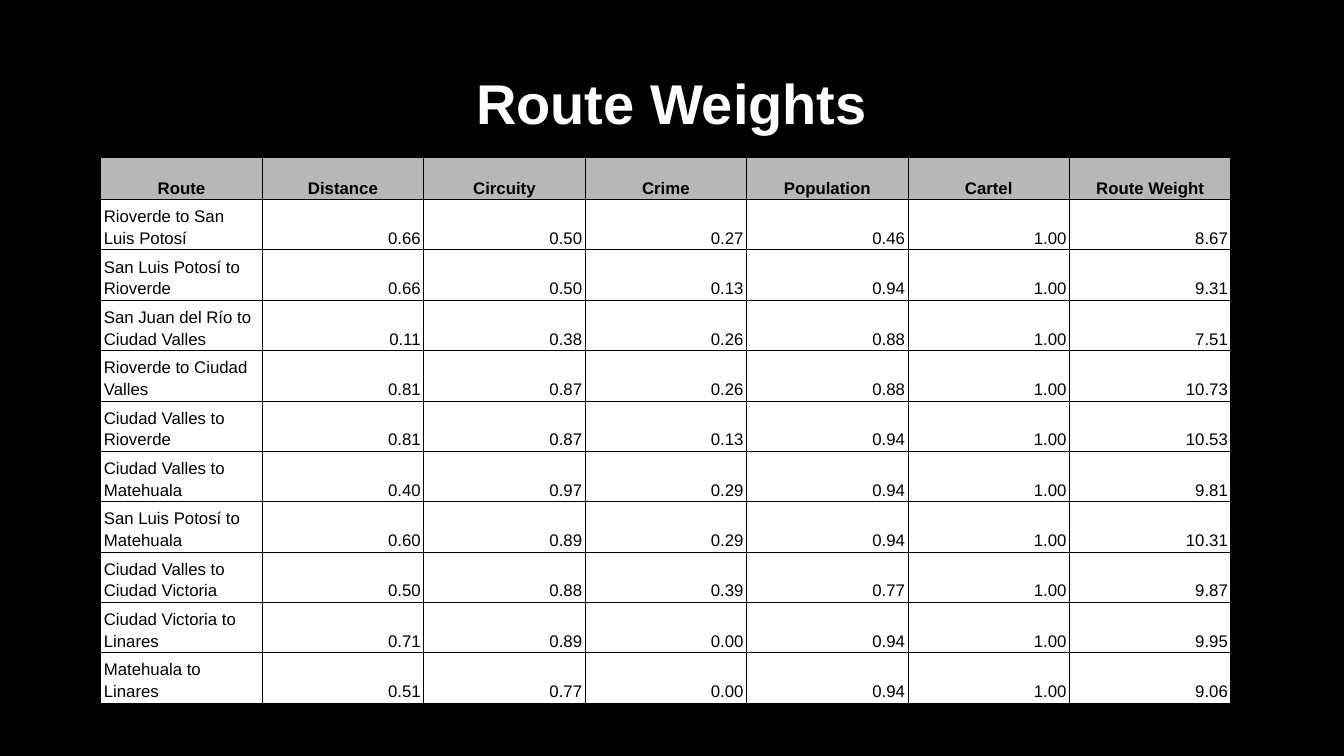
from lxml import etree
from pptx import Presentation
from pptx import util as u
from pptx.dml.color import RGBColor
from pptx.enum import text
from pptx.oxml.ns import qn

BLACK, WHITE, GREY = "000000", "FFFFFF", "B7B7B7"
HEADINGS = ["Route", "Distance", "Circuity", "Crime", "Population", "Cartel", "Route Weight"]
ROUTES = [
    ["Rioverde to San Luis Potosí", 0.66, 0.50, 0.27, 0.46, 1.00, 8.67],
    ["San Luis Potosí to Rioverde", 0.66, 0.50, 0.13, 0.94, 1.00, 9.31],
    ["San Juan del Río to Ciudad Valles", 0.11, 0.38, 0.26, 0.88, 1.00, 7.51],
    ["Rioverde to Ciudad Valles", 0.81, 0.87, 0.26, 0.88, 1.00, 10.73],
    ["Ciudad Valles to Rioverde", 0.81, 0.87, 0.13, 0.94, 1.00, 10.53],
    ["Ciudad Valles to Matehuala", 0.40, 0.97, 0.29, 0.94, 1.00, 9.81],
    ["San Luis Potosí to Matehuala", 0.60, 0.89, 0.29, 0.94, 1.00, 10.31],
    ["Ciudad Valles to Ciudad Victoria", 0.50, 0.88, 0.39, 0.77, 1.00, 9.87],
    ["Ciudad Victoria to Linares", 0.71, 0.89, 0.00, 0.94, 1.00, 9.95],
    ["Matehuala to Linares", 0.51, 0.77, 0.00, 0.94, 1.00, 9.06],
]
ROW_HEIGHT = 0.42
CELL_FORMAT = {
    "vertical_anchor": text.MSO_ANCHOR.BOTTOM,
    "margin_left": u.Inches(0.03),
    "margin_right": u.Inches(0.03),
    "margin_top": u.Inches(0.02),
    "margin_bottom": u.Inches(0.02),
}


def paint(fill, color):
    fill.solid()
    fill.fore_color.rgb = RGBColor.from_string(color)


def write(para, words, size, color, bold, align, spacing):
    para.alignment = align
    para.line_spacing = spacing
    span = para.add_run()
    span.text = words
    for name, value in {"name": "Arial", "size": u.Pt(size), "bold": bold}.items():
        setattr(span.font, name, value)
    span.font.color.rgb = RGBColor.from_string(color)


def add_borders(cell, color, points):
    properties = cell._tc.get_or_add_tcPr()
    for side in ("a:lnL", "a:lnR", "a:lnT", "a:lnB"):
        line = etree.SubElement(properties, qn(side), w=str(u.Pt(points)))
        fill = etree.SubElement(line, qn("a:solidFill"))
        etree.SubElement(fill, qn("a:srgbClr"), val=color)


def add_title(page, box, words):
    frame = page.shapes.add_textbox(*map(u.Inches, box)).text_frame
    frame.word_wrap = True
    frame.vertical_anchor = text.MSO_ANCHOR.MIDDLE
    write(frame.paragraphs[0], words, 40, WHITE, True, text.PP_ALIGN.CENTER, 0.9)


def fill_cell(cell, value, heading):
    for name, setting in CELL_FORMAT.items():
        setattr(cell, name, setting)
    add_borders(cell, BLACK, 0.75)
    paint(cell.fill, GREY if heading else WHITE)
    if heading:
        align = text.PP_ALIGN.CENTER
    elif isinstance(value, float):
        align = text.PP_ALIGN.RIGHT
    else:
        align = text.PP_ALIGN.LEFT
    words = f"{value:.2f}" if isinstance(value, float) else value
    write(cell.text_frame.paragraphs[0], words, 12, BLACK, heading, align, 1.15)


def add_weights_table(page, box):
    """Rows start at ROW_HEIGHT and grow where a route name wraps."""
    rows = [HEADINGS] + ROUTES
    frame = page.shapes.add_table(len(rows), len(HEADINGS), *map(u.Inches, box))
    for index, values in enumerate(rows):
        frame.table.rows[index].height = u.Inches(ROW_HEIGHT)
        for column, value in enumerate(values):
            fill_cell(frame.table.cell(index, column), value, index == 0)
    frame.height = u.Inches(box[3])


def main():
    deck = Presentation()
    deck.slide_width, deck.slide_height = u.Inches(13.33), u.Inches(7.5)
    page = deck.slides.add_slide(deck.slide_layouts[6])
    paint(page.background.fill, BLACK)
    add_title(page, (1, 0.33, 11.32, 1.45), "Route Weights")
    add_weights_table(page, (1, 1.56, 11.21, 5.24))
    deck.save("out.pptx")


if __name__ == "__main__":
    main()
